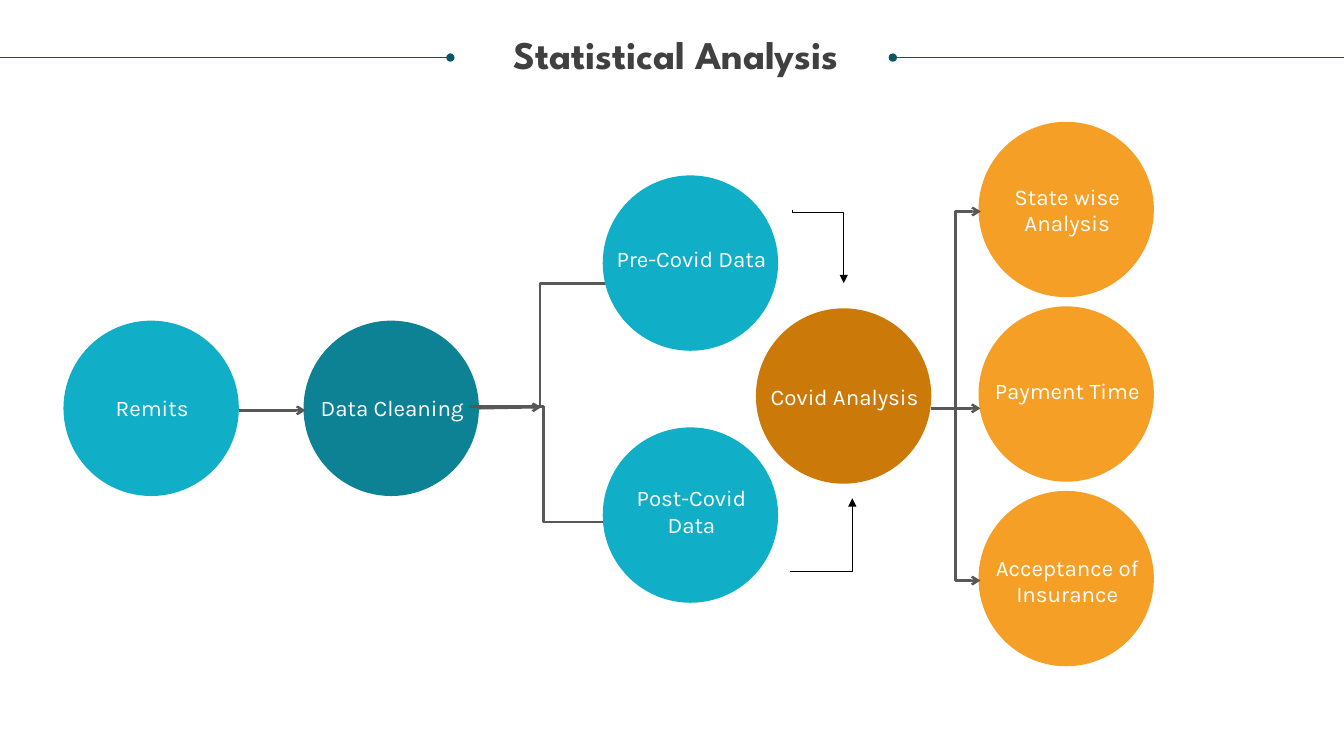
from dataclasses import dataclass

from lxml.etree import SubElement
from pptx import Presentation
from pptx.dml.color import RGBColor
from pptx.enum.shapes import MSO_CONNECTOR, MSO_SHAPE
from pptx.enum.text import MSO_ANCHOR, MSO_AUTO_SIZE, PP_ALIGN
from pptx.oxml.ns import qn
from pptx.util import Cm, Pt


@dataclass(frozen=True)
class Theme:
    title: RGBColor = RGBColor(0x40, 0x40, 0x40)
    rule: RGBColor = RGBColor(0x08, 0x57, 0x64)
    flow: RGBColor = RGBColor(0x58, 0x58, 0x58)
    black: RGBColor = RGBColor(0, 0, 0)
    white: RGBColor = RGBColor(0xFF, 0xFF, 0xFF)
    aqua: RGBColor = RGBColor(0x11, 0xAE, 0xC7)
    teal: RGBColor = RGBColor(0x0D, 0x82, 0x95)
    brown: RGBColor = RGBColor(0xCB, 0x7A, 0x09)
    orange: RGBColor = RGBColor(0xF5, 0x9F, 0x26)
    title_font: str = "League Spartan"
    body_font: str = "Karla"
    title_size: Pt = Pt(28)
    body_size: Pt = Pt(16)
    thin: Pt = Pt(0.5)
    thick: Pt = Pt(1.75)


theme = Theme()
DIAMETER = 4.42
LABEL_WIDTH, LINE_HEIGHT = 3.81, 0.69

prs = Presentation()
prs.slide_width, prs.slide_height = Cm(33.87), Cm(19.05)
s = prs.slides.add_slide(prs.slide_layouts[5])


def add_stage(text, lines, left, top, label_middle, color):
    """Draw one circle and its centred label."""
    sp = s.shapes.add_shape(MSO_SHAPE.OVAL, Cm(left), Cm(top), Cm(DIAMETER), Cm(DIAMETER))
    sp.shadow.inherit = False
    sp.fill.solid()
    sp.fill.fore_color.rgb = color
    sp.line.fill.background()

    height = lines * LINE_HEIGHT
    label = s.shapes.add_textbox(Cm(left + 0.33), Cm(label_middle - height / 2),
                                 Cm(LABEL_WIDTH), Cm(height))
    tf = label.text_frame
    tf.word_wrap = True
    tf.vertical_anchor = MSO_ANCHOR.MIDDLE
    tf.margin_left = tf.margin_right = tf.margin_top = tf.margin_bottom = 0
    p = tf.paragraphs[0]
    p.text = text
    p.alignment = PP_ALIGN.CENTER
    p.font.name, p.font.size = theme.body_font, theme.body_size
    p.font.color.rgb = theme.white


def add_link(start, end, color, width, head=None, tail=None, adjust=None, turn=0):
    """Draw a straight link, or an elbow when adjust (1/100000 of its width) is given."""
    kind = MSO_CONNECTOR.STRAIGHT if adjust is None else MSO_CONNECTOR.ELBOW
    link = s.shapes.add_connector(kind, Cm(start[0]), Cm(start[1]), Cm(end[0]), Cm(end[1]))
    link.line.color.rgb = color
    link.line.width = width
    sp_pr = link._element.spPr
    ln = sp_pr.find(qn("a:ln"))
    for tag, arrow in (("a:headEnd", head), ("a:tailEnd", tail)):
        if arrow:
            SubElement(ln, qn(tag), type=arrow)
    SubElement(sp_pr, qn("a:effectLst"))
    if adjust is not None:
        guides = sp_pr.find(qn("a:prstGeom")).find(qn("a:avLst"))
        SubElement(guides, qn("a:gd"), name="adj1", fmla=f"val {adjust}")
    if turn:
        sp_pr.find(qn("a:xfrm")).set("rot", str(turn * 60000))


# Title between two rules
title = s.shapes.title
title.left, title.top, title.width, title.height = Cm(0.74), Cm(0.89), Cm(32.59), Cm(2.16)
tf = title.text_frame
tf.word_wrap = True
tf.auto_size = MSO_AUTO_SIZE.NONE
tf.vertical_anchor = MSO_ANCHOR.TOP
tf.margin_left = tf.margin_right = tf.margin_top = tf.margin_bottom = 0
p = tf.paragraphs[0]
p.text = "Statistical Analysis"
p.alignment = PP_ALIGN.CENTER
p.line_spacing = 0.9
p.font.name, p.font.size, p.font.bold = theme.title_font, theme.title_size, True
p.font.color.rgb = theme.title

add_link((0, 1.45), (11.35, 1.45), theme.rule, theme.thin, tail="oval")
add_link((22.5, 1.45), (33.87, 1.45), theme.rule, theme.thin, head="oval")

# Main stages and the three resulting analyses
for stage in (
    ("Remits", 1, 1.6, 8.08, 10.27, theme.aqua),
    ("Data Cleaning", 1, 7.65, 8.08, 10.27, theme.teal),
    ("Covid Analysis", 1, 19.05, 7.77, 10, theme.brown),
    ("State wise Analysis", 2, 24.66, 3.07, 5.28, theme.orange),
    ("Payment Time", 1, 24.66, 7.72, 9.84, theme.orange),
    ("Acceptance of Insurance", 2, 24.66, 12.37, 14.63, theme.orange),
):
    add_stage(*stage)

# Straight arrows along the flow
for start, end in (
    ((6.02, 10.34), (7.7, 10.34)),
    ((12.04, 10.29), (13.64, 10.26)),
    ((23.47, 10.29), (24.71, 10.29)),
):
    add_link(start, end, theme.flow, theme.thick, tail="arrow")

# Branches to the outer analyses and to the two data sets
add_link((24.71, 14.63), (24.72, 5.33), theme.flow, theme.thick,
         head="arrow", tail="arrow", adjust=6350000, turn=180)
add_link((11.94, 10.24), (15.29, 7.14), theme.flow, theme.thick, adjust=50000, turn=180)
add_link((11.81, 10.24), (15.32, 13.16), theme.flow, theme.thick, adjust=46300, turn=180)

# Data sets, over the ends of their branches
add_stage("Pre-Covid Data", 1, 15.19, 4.42, 6.52, theme.aqua)
add_stage("Post-Covid Data", 2, 15.19, 10.77, 12.88, theme.aqua)

# Elbow arrows from the data sets into the analysis
add_link((21.54, 5.56), (19.69, 6.86), theme.black, theme.thin,
         tail="triangle", adjust=4000, turn=270)
add_link((21.62, 14.25), (19.79, 12.7), theme.black, theme.thin,
         tail="triangle", adjust=-700, turn=90)

prs.save("out.pptx")
